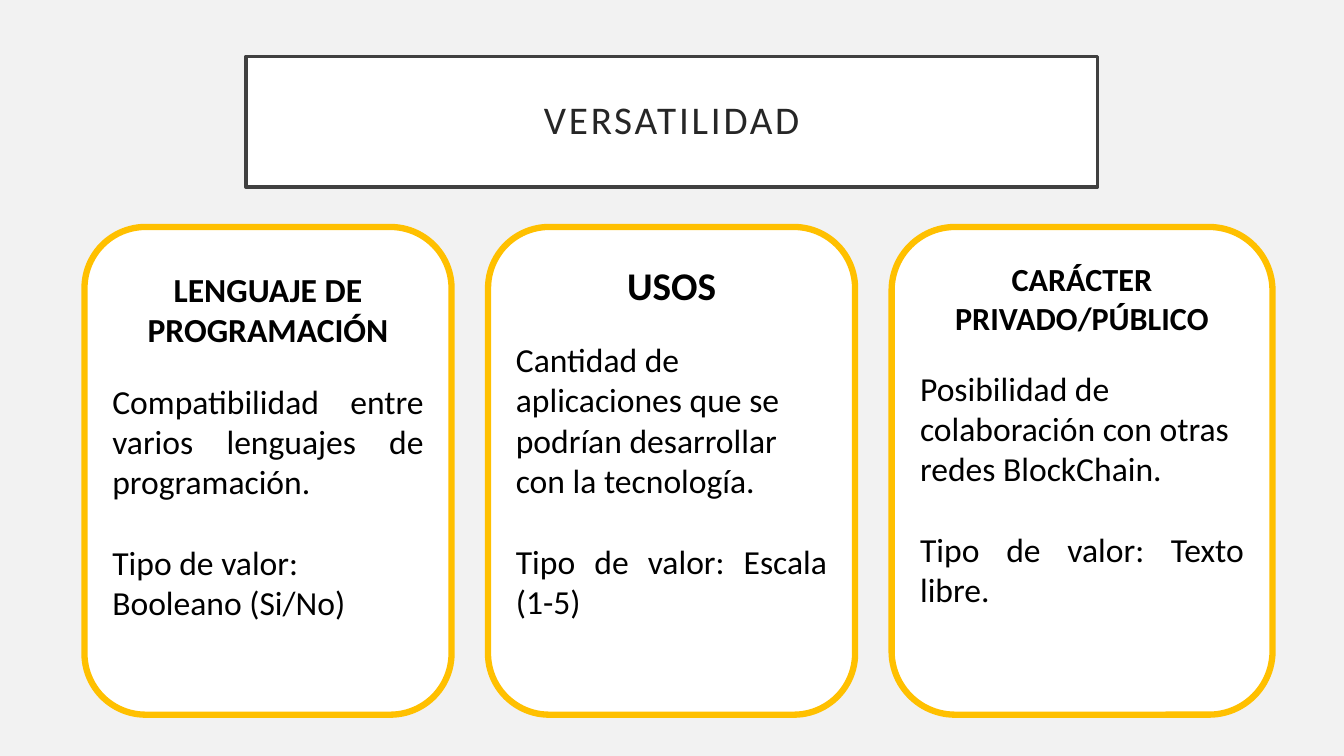
import pptx
import pptx.util
import pptx.dml.color
import pptx.enum.shapes
import pptx.enum.text

Cm, Pt = pptx.util.Cm, pptx.util.Pt
SHAPE = pptx.enum.shapes.MSO_SHAPE
ANCHOR = pptx.enum.text.MSO_ANCHOR
CENTER = pptx.enum.text.PP_ALIGN.CENTER
LEFT = pptx.enum.text.PP_ALIGN.LEFT
JUSTIFY = pptx.enum.text.PP_ALIGN.JUSTIFY

# Content
HEADING = "VERSATILIDAD"
# Each card: width and top inset in cm, then (text, size, alignment) lines
CARDS = [
    (9.25, 0.61, [
        ("LENGUAJE DE PROGRAMACIÓN", 24, CENTER),
        ("Compatibilidad entre varios lenguajes de programación.", 24, JUSTIFY),
        ("Tipo de valor: Booleano (Si/No)", 24, LEFT)]),
    (9.25, 0.41, [
        ("USOS", 28, CENTER),
        ("Cantidad de aplicaciones que se podrían desarrollar con la tecnología.", 24, LEFT),
        ("Tipo de valor: Escala (1-5)", 24, JUSTIFY)]),
    (9.6, 0.35, [
        ("CARÁCTER PRIVADO/PÚBLICO", 23, CENTER),
        ("Posibilidad de colaboración con otras redes BlockChain.", 24, LEFT),
        ("Tipo de valor: Texto libre.", 24, JUSTIFY)]),
]
GAPS = [0, 22, 29]  # points before the card title, description and value type

# Style
COLORS = {"background": "F2F2F2", "panel": "FFFFFF", "frame": "404040",
          "heading": "262626", "card_line": "FFC000", "card_text": "000000"}
FONT = "Calibri"
CARD_LEFT, CARD_TOP, CARD_PITCH, CARD_HEIGHT = 2.13, 5.72, 10.17, 12.29


def color(name):
    return pptx.dml.color.RGBColor.from_string(COLORS[name])


def add_panel(slide, kind, box, line, line_width):
    panel = slide.shapes.add_shape(kind, *map(Cm, box))
    panel.shadow.inherit = False
    panel.fill.solid()
    panel.fill.fore_color.rgb = color("panel")
    panel.line.color.rgb = color(line)
    panel.line.width = Pt(line_width)
    panel.text_frame.word_wrap = True
    return panel


def write(paragraph, text, size, align, text_color, bold=False):
    paragraph.text = text
    paragraph.alignment = align
    paragraph.font.name = FONT
    paragraph.font.size = Pt(size)
    paragraph.font.bold = bold
    paragraph.font.color.rgb = color(text_color)


def main():
    deck = pptx.Presentation()
    deck.slide_width, deck.slide_height = Cm(33.87), Cm(19.05)
    slide = deck.slides.add_slide(deck.slide_layouts[6])
    slide.background.fill.solid()
    slide.background.fill.fore_color.rgb = color("background")

    # Heading
    heading = add_panel(slide, SHAPE.RECTANGLE, (6.2, 1.42, 21.46, 3.3), "frame", 2.5)
    heading.text_frame.vertical_anchor = ANCHOR.MIDDLE
    title = heading.text_frame.paragraphs[0]
    write(title, HEADING, 28, CENTER, "heading")
    title.line_spacing = 0.9
    title.runs[0].font._element.set("spc", "200")

    # Cards
    for column, (width, inset, lines) in enumerate(CARDS):
        box = (CARD_LEFT + column * CARD_PITCH, CARD_TOP, width, CARD_HEIGHT)
        card = add_panel(slide, SHAPE.ROUNDED_RECTANGLE, box, "card_line", 4.5)
        frame = card.text_frame
        frame.vertical_anchor = ANCHOR.TOP
        frame.margin_top = Cm(inset)
        for row, (text, size, align) in enumerate(lines):
            paragraph = frame.add_paragraph() if row else frame.paragraphs[0]
            write(paragraph, text, size, align, "card_text", bold=row == 0)
            paragraph.space_before = Pt(GAPS[row])

    deck.save("out.pptx")


if __name__ == "__main__":
    main()
